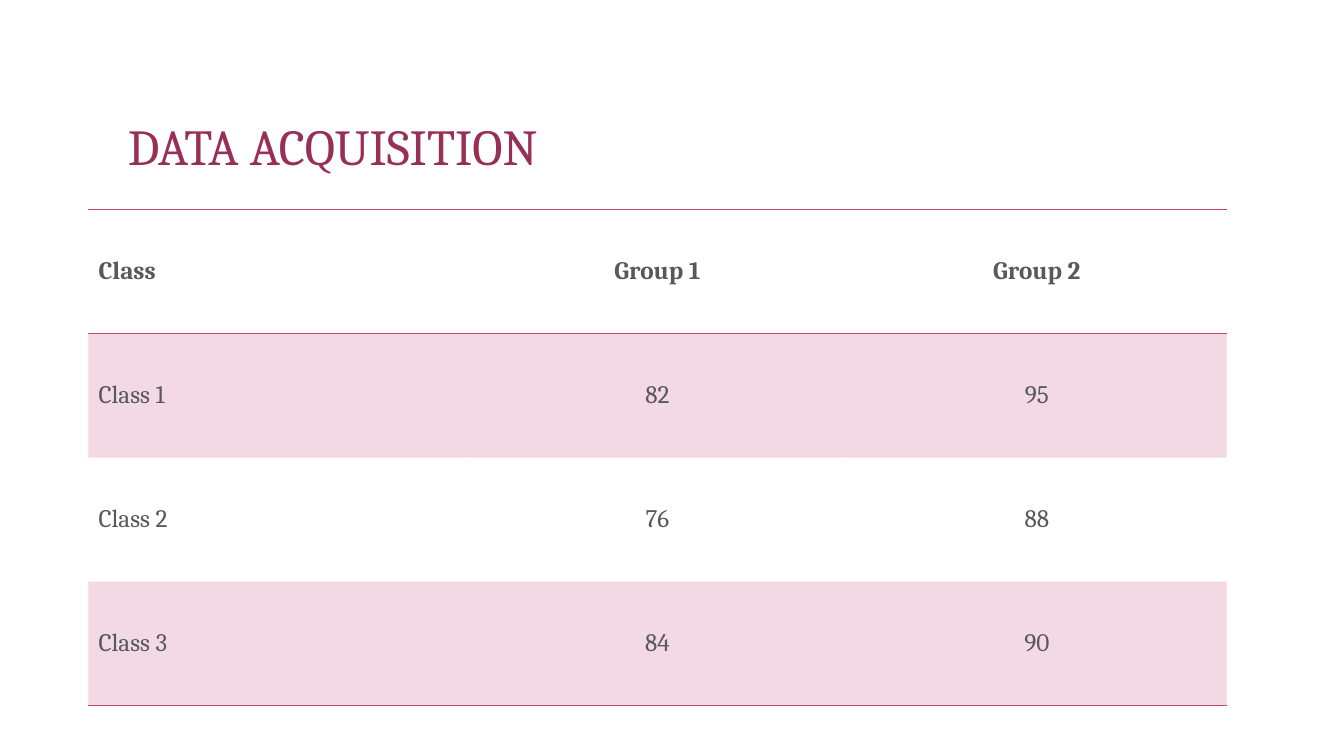
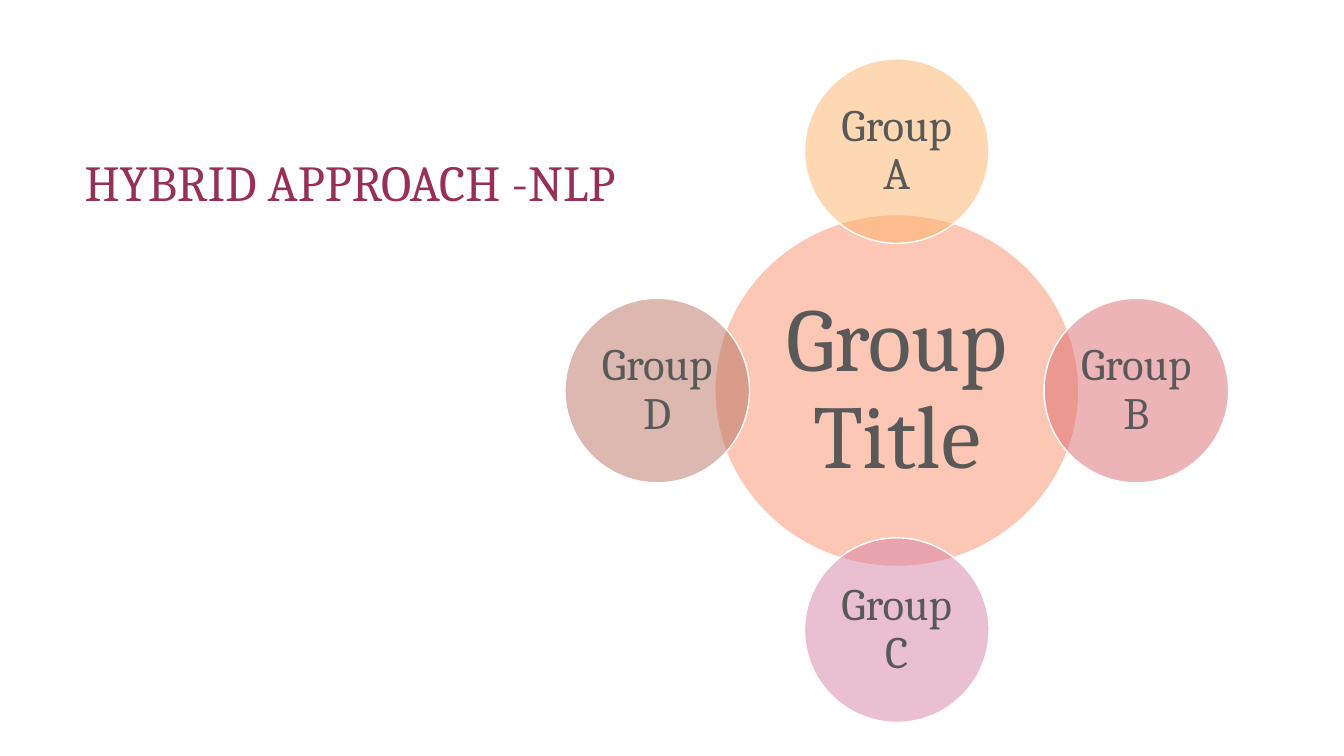
from pptx import Presentation
from pptx.dml.color import RGBColor
from pptx.enum import shapes, text
from pptx.oxml import ns, xmlchemy
from pptx.util import Pt

TITLE = "972F57"
ACCENT = "C44475"
INK = "595959"
WHITE = "FFFFFF"
PLAIN_TABLE = "{2D5ABB26-0587-4C30-8999-92F81FD0307C}"


def color(value):
    return RGBColor.from_string(value)


class Deck:
    font = "Cambria"

    def __init__(self):
        self.deck = Presentation()
        self.deck.slide_width = Pt(960)
        self.deck.slide_height = Pt(540)
        self.page = None

    def add_page(self, title, left, top, width):
        self.page = self.deck.slides.add_slide(self.deck.slide_layouts[5])
        box = self.page.shapes.title
        box.left, box.top, box.width, box.height = Pt(left), Pt(top), Pt(width), Pt(93.6)
        frame = box.text_frame
        frame.text = title
        frame.word_wrap = True
        frame.auto_size = text.MSO_AUTO_SIZE.NONE
        frame.vertical_anchor = text.MSO_ANCHOR.BOTTOM
        self.style(frame.paragraphs[0], 36, TITLE, text.PP_ALIGN.LEFT, spacing=0.9)

    def style(self, para, size, ink, align, bold=False, spacing=1.0):
        para.alignment = align
        para.line_spacing = spacing
        font = para.font
        font.name, font.size, font.bold = self.font, Pt(size), bold
        font.color.rgb = color(ink)

    def tint(self, fill, properties, value, opacity):
        fill.solid()
        fill.fore_color.rgb = color(value)
        shade = properties.find(ns.qn("a:solidFill"))[0]
        self.add_element(shade, "a:alpha", val=str(opacity * 1000))

    def add_element(self, parent, tag, **attributes):
        element = xmlchemy.OxmlElement(tag)
        for name, value in attributes.items():
            element.set(name, value)
        parent.append(element)
        return element

    def add_borders(self, cell, sides):
        properties = cell._tc.get_or_add_tcPr()
        for position, side in enumerate(sides):
            line = xmlchemy.OxmlElement(f"a:ln{side}")
            line.set("w", str(Pt(1)))
            fill = self.add_element(line, "a:solidFill")
            self.add_element(fill, "a:srgbClr", val=ACCENT)
            properties.insert(position, line)

    def add_table(self, rows, left, top, width, height):
        frame = self.page.shapes.add_table(
            len(rows), len(rows[0]), Pt(left), Pt(top), Pt(width), Pt(height))
        table = frame.table
        table.horz_banding = False
        table._tbl.tblPr.find(ns.qn("a:tableStyleId")).text = PLAIN_TABLE
        borders = {0: "TB", len(rows) - 1: "B"}
        for row, values in enumerate(rows):
            for column, value in enumerate(values):
                cell = table.cell(row, column)
                cell.text = value
                cell.vertical_anchor = text.MSO_ANCHOR.MIDDLE
                align = text.PP_ALIGN.CENTER if column else text.PP_ALIGN.LEFT
                self.style(cell.text_frame.paragraphs[0], 18, INK, align, bold=row == 0)
                if row % 2:
                    self.tint(cell.fill, cell._tc.get_or_add_tcPr(), ACCENT, 20)
                else:
                    cell.fill.background()
                self.add_borders(cell, borders.get(row, ""))

    def add_circle(self, label, center_x, center_y, width, height, fill, size, inset):
        circle = self.page.shapes.add_shape(
            shapes.MSO_SHAPE.OVAL, Pt(center_x - width / 2), Pt(center_y - height / 2),
            Pt(width), Pt(height))
        circle.shadow.inherit = False
        self.tint(circle.fill, circle._element.spPr, fill, 50)
        circle.line.color.rgb = color(WHITE)
        circle.line.width = Pt(1)
        frame = circle.text_frame
        frame.text = label
        frame.word_wrap = True
        frame.vertical_anchor = text.MSO_ANCHOR.MIDDLE
        frame.margin_left = frame.margin_right = Pt(inset)
        frame.margin_top = frame.margin_bottom = Pt(inset)
        self.style(frame.paragraphs[0], size, INK, text.PP_ALIGN.CENTER, spacing=0.9)

    def add_radial(self, hub, satellites, center_x, center_y, distance):
        label, fill = hub
        self.add_circle(label, center_x, center_y, 260, 251.3, fill, 64, 6.4)
        directions = [(0, -1), (1, 0), (0, 1), (-1, 0)]
        for (label, fill), (across, down) in zip(satellites, directions):
            self.add_circle(label, center_x + across * distance, center_y + down * distance,
                            131.8, 131.8, fill, 32, 2.9)


def main():
    show = Deck()

    show.add_page("DATA ACQUISITION", 84.2, 36, 792)
    show.add_table([
        ["Class", "Group 1", "Group 2"],
        ["Class 1", "82", "95"],
        ["Class 2", "76", "88"],
        ["Class 3", "84", "90"],
    ], 63.2, 149.8, 812.9, 354.2)

    show.add_page("HYBRID APPROACH -NLP", 53.3, 61.9, 417.6)
    show.add_radial(("Group Title", "FA906A"), [
        ("Group A", "FCB268"),
        ("Group B", "DB6B70"),
        ("Group C", "D680A5"),
        ("Group D", "BA7362"),
    ], 640.6, 279, 171.1)

    show.deck.save("out.pptx")


if __name__ == "__main__":
    main()
